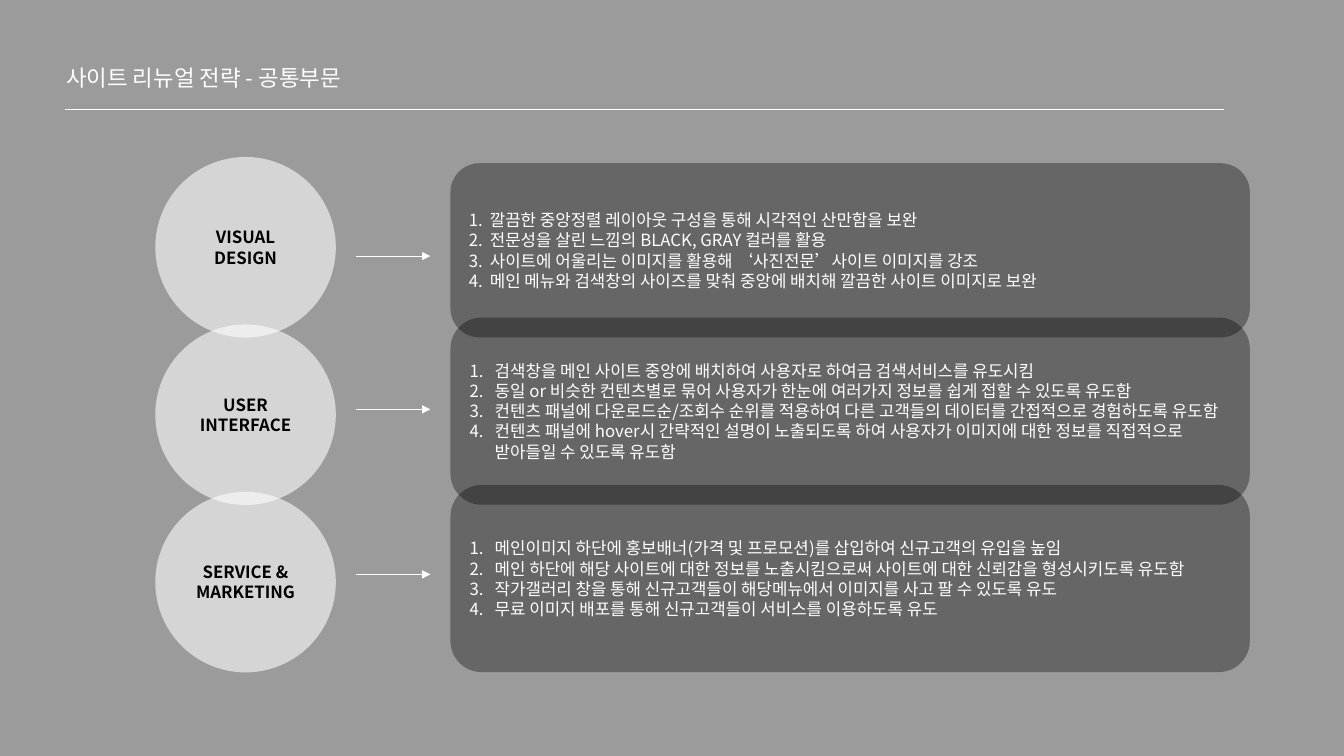
from lxml import etree
from pptx import Presentation
from pptx.dml.color import RGBColor
from pptx.enum.shapes import MSO_CONNECTOR, MSO_SHAPE
from pptx.enum.text import MSO_ANCHOR, PP_ALIGN
from pptx.oxml.ns import qn
from pptx.util import Pt

STRAIGHT = MSO_CONNECTOR.STRAIGHT
OVAL, ROUNDED = MSO_SHAPE.OVAL, MSO_SHAPE.ROUNDED_RECTANGLE
MIDDLE = MSO_ANCHOR.MIDDLE
LEFT, CENTER = PP_ALIGN.LEFT, PP_ALIGN.CENTER

WHITE = RGBColor(0xFF, 0xFF, 0xFF)
BLACK = RGBColor(0x00, 0x00, 0x00)
GRAY = RGBColor(0x9B, 0x9B, 0x9B)
FONT = "Noto Sans CJK KR"

CIRCLE_LEFT, CIRCLE_TOP, CIRCLE_SIZE, CIRCLE_PITCH = 110.9, 112.1, 129, 119.6
ARROW_START, ARROW_END = 254.2, 307.4
PANEL_LEFT, PANEL_WIDTH = 321.8, 571

STRATEGIES = [
    ("VISUAL DESIGN", 182.9, 116.6, 124.4, 15, [
        "깔끔한 중앙정렬 레이아웃 구성을 통해 시각적인 산만함을 보완",
        "전문성을 살린 느낌의 BLACK, GRAY 컬러를 활용",
        "사이트에 어울리는 이미지를 활용해 ‘사진전문’사이트 이미지를 강조",
        "메인 메뉴와 검색창의 사이즈를 맞춰 중앙에 배치해 깔끔한 사이트 이미지로 보완",
    ]),
    ("USER INTERFACE", 292.4, 226.8, 133.7, 18, [
        "검색창을 메인 사이트 중앙에 배치하여 사용자로 하여금 검색서비스를 유도시킴",
        "동일 or 비슷한 컨텐츠별로 묶어 사용자가 한눈에 여러가지 정보를 쉽게 접할 수 있도록 유도함",
        "컨텐츠 패널에 다운로드순/조회수 순위를 적용하여 다른 고객들의 데이터를 간접적으로 경험하도록 유도함",
        "컨텐츠 패널에 hover시 간략적인 설명이 노출되도록 하여 사용자가 이미지에 대한 정보를 직접적으로 받아들일 수 있도록 유도함",
    ]),
    ("SERVICE & MARKETING", 410.3, 346.4, 133.7, 18, [
        "메인이미지 하단에 홍보배너(가격 및 프로모션)를 삽입하여 신규고객의 유입을 높임",
        "메인 하단에 해당 사이트에 대한 정보를 노출시킴으로써 사이트에 대한 신뢰감을 형성시키도록 유도함",
        "작가갤러리 창을 통해 신규고객들이 해당메뉴에서 이미지를 사고 팔 수 있도록 유도",
        "무료 이미지 배포를 통해 신규고객들이 서비스를 이용하도록 유도",
    ]),
]


def add_run(paragraph, text, size, color, bold=False):
    run = paragraph.add_run()
    run.text = text
    run.font.size = Pt(size)
    run.font.bold = bold
    run.font.color.rgb = color
    run.font.name = FONT
    etree.SubElement(run.font._element, qn("a:ea"), typeface=FONT)


def number_paragraph(paragraph, indent):
    properties = paragraph._p.get_or_add_pPr()
    properties.set("marL", str(Pt(indent)))
    properties.set("indent", str(-Pt(indent)))
    etree.SubElement(properties, qn("a:buFont"), typeface=FONT)
    etree.SubElement(properties, qn("a:buAutoNum"), type="arabicPeriod")


def add_translucent(slide, kind, left, top, width, height, color, opacity):
    shape = slide.shapes.add_shape(kind, Pt(left), Pt(top), Pt(width), Pt(height))
    shape.shadow.inherit = False
    shape.line.fill.background()
    shape.fill.solid()
    shape.fill.fore_color.rgb = color
    fill_color = shape._element.spPr.find(qn("a:solidFill"))[0]
    etree.SubElement(fill_color, qn("a:alpha"), val=str(opacity * 1000))
    shape.text_frame.word_wrap = True
    shape.text_frame.vertical_anchor = MIDDLE
    return shape.text_frame


def add_title(slide, text):
    title = slide.shapes.add_textbox(Pt(40.3), Pt(42.5), Pt(480), Pt(26.6))
    title.text_frame.word_wrap = True
    add_run(title.text_frame.paragraphs[0], text, 16, WHITE)


def add_line(slide, start, end, y, arrow=False):
    line = slide.shapes.add_connector(STRAIGHT, Pt(start), Pt(y), Pt(end), Pt(y))
    line.line.color.rgb = WHITE
    line.line.width = Pt(0.5)
    if arrow:
        etree.SubElement(line.line._get_or_add_ln(), qn("a:tailEnd"), type="triangle")
    etree.SubElement(line._element.spPr, qn("a:effectLst"))


def add_circle(slide, top, label):
    frame = add_translucent(slide, OVAL, CIRCLE_LEFT, top,
                            CIRCLE_SIZE, CIRCLE_SIZE, WHITE, 58)
    paragraph = frame.paragraphs[0]
    paragraph.alignment = CENTER
    add_run(paragraph, label, 12, BLACK, bold=True)


def add_panel(slide, top, height, indent, items):
    frame = add_translucent(slide, ROUNDED, PANEL_LEFT, top,
                            PANEL_WIDTH, height, BLACK, 34)
    for index, item in enumerate(items):
        paragraph = frame.add_paragraph() if index else frame.paragraphs[0]
        paragraph.alignment = LEFT
        number_paragraph(paragraph, indent)
        add_run(paragraph, item, 12, WHITE)


def main():
    deck = Presentation()
    deck.slide_width, deck.slide_height = Pt(960), Pt(540)
    slide = deck.slides.add_slide(deck.slide_layouts[6])
    slide.background.fill.solid()
    slide.background.fill.fore_color.rgb = GRAY

    add_title(slide, "사이트 리뉴얼 전략 - 공통부문")
    add_line(slide, 46.1, 874.6, 78.1)
    for row, (label, arrow_y, top, height, indent, items) in enumerate(STRATEGIES):
        add_circle(slide, CIRCLE_TOP + row * CIRCLE_PITCH, label)
        add_line(slide, ARROW_START, ARROW_END, arrow_y, arrow=True)
        add_panel(slide, top, height, indent, items)
    deck.save("out.pptx")


if __name__ == "__main__":
    main()
